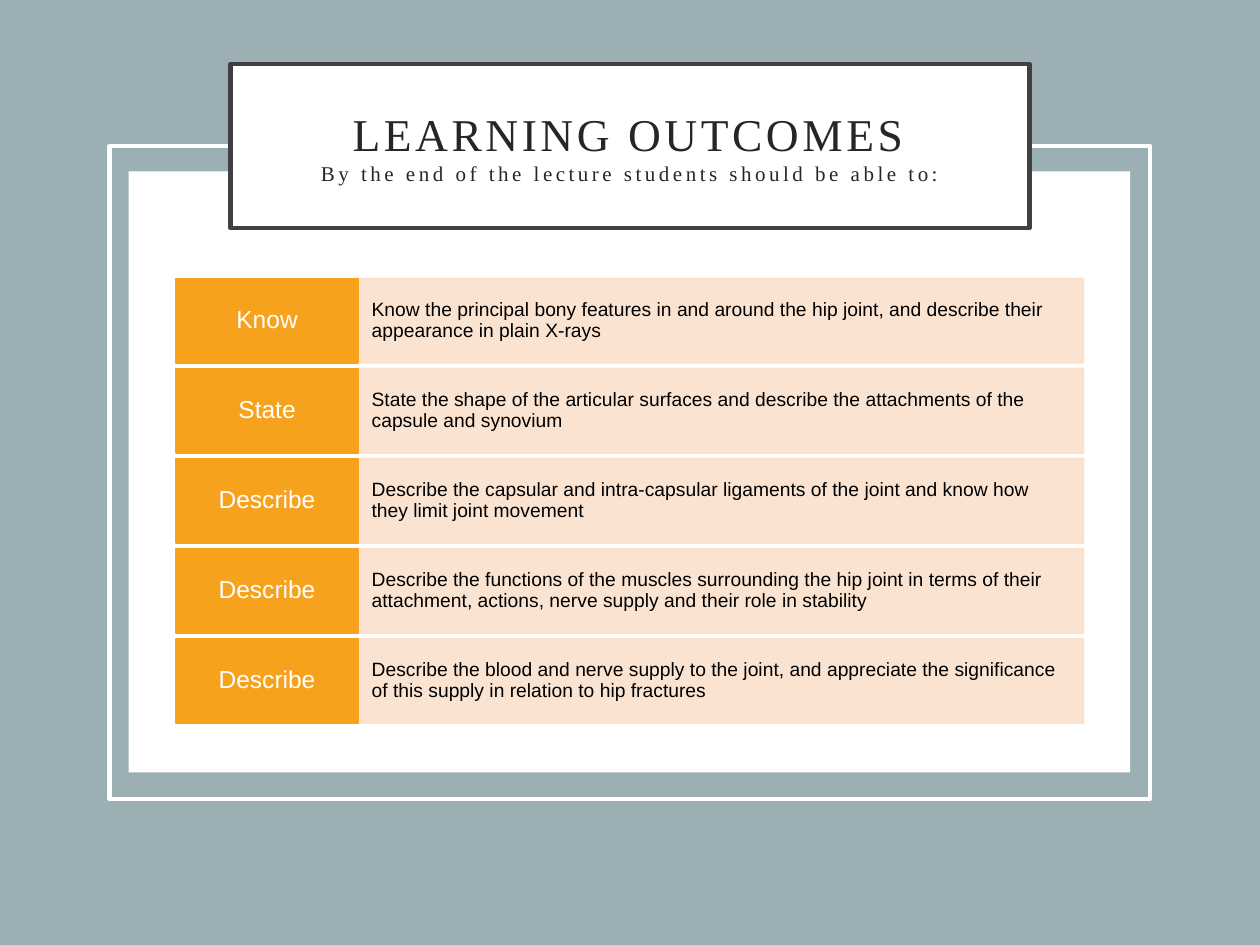
"""Build the learning outcomes slide."""
from lxml.etree import SubElement
from pptx import Presentation
from pptx.dml.color import RGBColor
from pptx.enum.shapes import MSO_SHAPE
from pptx.enum.text import MSO_ANCHOR, MSO_AUTO_SIZE, PP_ALIGN
from pptx.oxml.ns import qn
from pptx.util import Inches, Pt

COLORS = {"backdrop": "9BAFB5", "white": "FFFFFF", "border": "404040", "title": "262626",
          "label": "F6A21D", "detail": "FBE0CD", "black": "000000"}
WIDTH, HEIGHT = 10, 7.5
LEFT, TOP, LABEL_WIDTH, DETAIL_WIDTH = 1.4, 2.21, 1.44, 5.76
ROW_HEIGHT, ROW_PITCH = 0.67, 0.715
OUTCOMES = [
    ("Know", "Know the principal bony features in and around the hip joint, "
             "and describe their appearance in plain X-rays"),
    ("State", "State the shape of the articular surfaces and describe the "
              "attachments of the capsule and synovium"),
    ("Describe", "Describe the capsular and intra-capsular ligaments of the joint "
                 "and know how they limit joint movement"),
    ("Describe", "Describe the functions of the muscles surrounding the hip joint in terms "
                 "of their attachment, actions, nerve supply and their role in stability"),
    ("Describe", "Describe the blood and nerve supply to the joint, and appreciate the "
                 "significance of this supply in relation to hip fractures"),
]


def color(name):
    return RGBColor.from_string(COLORS[name])


def paint(shape, fill=None, line=None, line_width=1):
    if fill:
        shape.fill.solid()
        shape.fill.fore_color.rgb = color(fill)
    else:
        shape.fill.background()
    if line:
        shape.line.color.rgb = color(line)
        shape.line.width = Pt(line_width)
    else:
        shape.line.fill.background()


def add_panel(page, left, top, width, height, **style):
    panel = page.shapes.add_shape(MSO_SHAPE.RECTANGLE, Inches(left), Inches(top),
                                  Inches(width), Inches(height))
    panel.shadow.inherit = False
    paint(panel, **style)
    return panel


def set_frame(frame, side, edge):
    frame.word_wrap = True
    frame.auto_size = MSO_AUTO_SIZE.NONE
    frame.vertical_anchor = MSO_ANCHOR.MIDDLE
    frame.margin_left = frame.margin_right = Inches(side)
    frame.margin_top = frame.margin_bottom = Inches(edge)


def style_font(font, name, size, tone):
    font.name, font.size = name, Pt(size)
    font.color.rgb = color(tone)


def fill_text(panel, text, size, tone, align, side, edge):
    set_frame(panel.text_frame, side, edge)
    para = panel.text_frame.paragraphs[0]
    para.text = text
    para.alignment = align
    para.line_spacing = 0.9
    style_font(para.font, "Arial", size, tone)


def make_translucent(panel, percent):
    for solid in panel._element.spPr.iter(qn("a:srgbClr")):
        SubElement(solid, qn("a:alpha"), val=str(percent * 1000))


def add_title(page):
    title = page.shapes.title
    page.shapes._spTree.append(title._element)
    title.left, title.top = Inches(1.83), Inches(0.51)
    title.width, title.height = Inches(6.34), Inches(1.3)
    paint(title, "white", "border", 2.5)
    set_frame(title.text_frame, 0.2, 0.2)
    para = title.text_frame.paragraphs[0]
    para.alignment = PP_ALIGN.CENTER
    heading = para.add_run()
    heading.text = "LEARNING OUTCOMES"
    para.add_line_break()
    subtitle = para.add_run()
    subtitle.text = "By the end of the lecture students should be able to:"
    for span, size in ((heading, 26), (subtitle, 12)):
        style_font(span.font, "Times New Roman", size, "title")
        span.font._element.set("spc", "200")


def add_outcome(page, row, label, detail):
    top = TOP + row * ROW_PITCH
    panel = add_panel(page, LEFT + LABEL_WIDTH, top, DETAIL_WIDTH, ROW_HEIGHT,
                      fill="detail", line="detail")
    make_translucent(panel, 90)
    fill_text(panel, detail, 11, "black", PP_ALIGN.LEFT, 0.11, 0.17)
    panel = add_panel(page, LEFT, top, LABEL_WIDTH, ROW_HEIGHT, fill="label", line="label")
    fill_text(panel, label, 14, "white", PP_ALIGN.CENTER, 0.08, 0.07)


def main():
    deck = Presentation()
    deck.slide_width, deck.slide_height = Inches(WIDTH), Inches(HEIGHT)
    page = deck.slides.add_slide(deck.slide_layouts[5])
    add_panel(page, 0, 0, WIDTH, HEIGHT, fill="backdrop")
    add_panel(page, 1.02, 1.36, 7.95, 4.77, fill="white")
    add_panel(page, 0.87, 1.16, 8.26, 5.18, line="white", line_width=2.5)
    add_title(page)
    for row, (label, detail) in enumerate(OUTCOMES):
        add_outcome(page, row, label, detail)
    deck.save("out.pptx")


if __name__ == "__main__":
    main()
